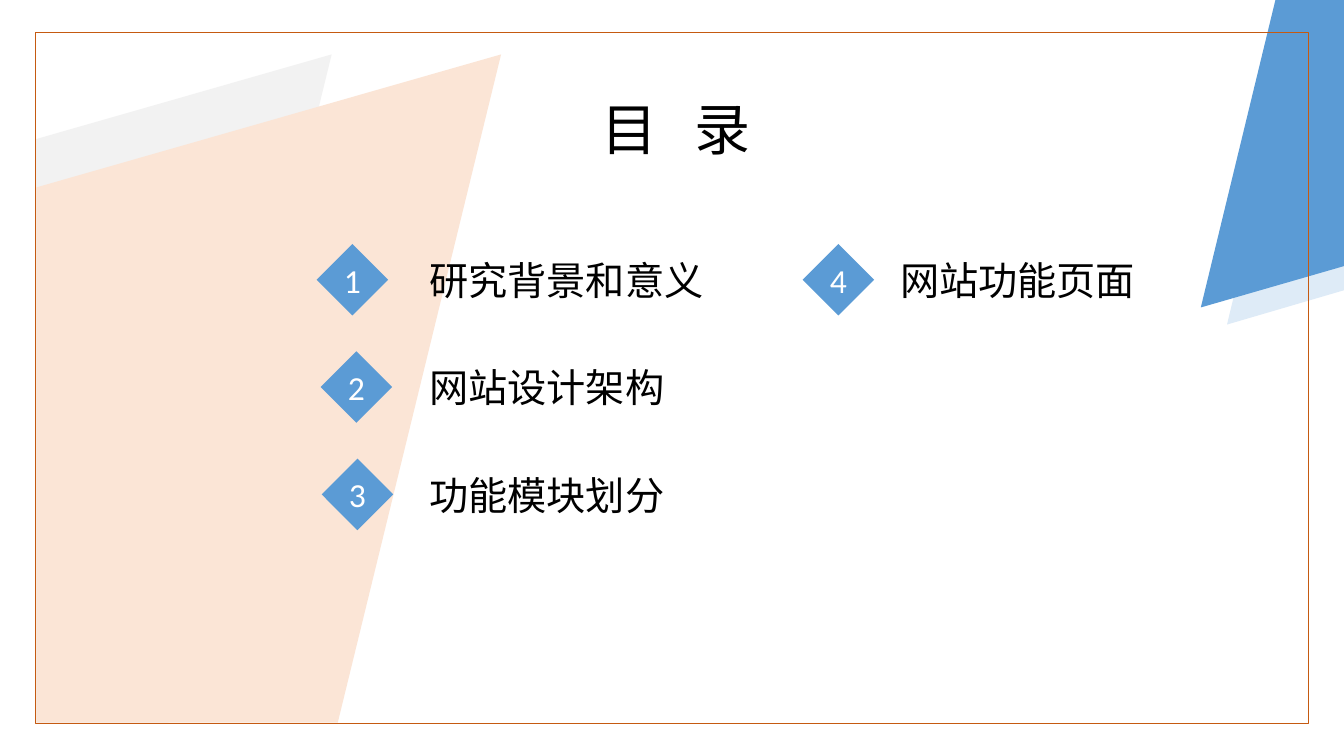
from pptx import Presentation, util as u
from pptx.dml.color import RGBColor
from pptx.enum import shapes, text
from pptx.oxml import ns
from lxml import etree

BLUE = "5B9BD5"
BLACK = "000000"
WHITE = "FFFFFF"
CHINESE = "Noto Sans CJK SC"


def colour(value):
    return RGBColor.from_string(value)


def paint(shape, value):
    shape.shadow.inherit = False
    shape.fill.solid()
    shape.fill.fore_color.rgb = colour(value)
    shape.line.fill.background()


def place(shape, left, top, width, height):
    shape.left, shape.top = u.Inches(left), u.Inches(top)
    shape.width, shape.height = u.Inches(width), u.Inches(height)


def write(shape, words, size, font, value, align, anchor, spacing=None):
    frame = shape.text_frame
    frame.text = words
    frame.word_wrap = True
    frame.auto_size = text.MSO_AUTO_SIZE.NONE
    frame.vertical_anchor = anchor
    para = frame.paragraphs[0]
    para.alignment = align
    para.line_spacing = 1.0
    para.font.size = u.Pt(size)
    para.font.name = font
    para.font.color.rgb = colour(value)
    defaults = para._p.pPr.find(ns.qn("a:defRPr"))
    etree.SubElement(defaults, ns.qn("a:ea")).set("typeface", font)
    if spacing:
        defaults.set("spc", str(spacing * 100))
    return para


def draw_polygon(page, points, value):
    corners = [(u.Inches(x), u.Inches(y)) for x, y in points]
    builder = page.shapes.build_freeform(*corners[0])
    builder.add_line_segments(corners[1:], close=True)
    paint(builder.convert_to_shape(), value)


def draw_backdrop(page, left, top, width, height):
    bottom = top + height - 0.01
    edge = left + 0.01
    draw_polygon(page, [(3.29, 0.54), (1.67, bottom), (edge, bottom), (edge, 1.38)], "F2F2F2")
    draw_polygon(page, [(4.97, 0.54), (3.35, bottom), (edge, bottom), (edge, 1.86)], "FBE5D6")
    draw_polygon(page, [(12.91, 0.15), (13.33, 0.15), (13.33, 2.88), (12.17, 3.22)], "DEEBF7")
    draw_polygon(page, [(12.65, 0), (13.33, 0), (13.33, 2.64), (11.91, 3.05)], BLUE)
    border = page.shapes.add_shape(
        shapes.MSO_SHAPE.RECTANGLE, *map(u.Inches, (left, top, width, height)))
    border.shadow.inherit = False
    border.fill.background()
    border.line.color.rgb = colour("C55A11")
    border.line.width = u.Pt(1)


def draw_title(page, left, top, width, height):
    title = page.shapes.title
    place(title, left, top, width, height)
    write(title, "目 录", 40, CHINESE, BLACK, text.PP_ALIGN.CENTER,
          text.MSO_ANCHOR.TOP, spacing=9)


def draw_entry(page, number, words, left, top, label_left, label_width):
    side = 0.71
    diamond = page.shapes.add_shape(
        shapes.MSO_SHAPE.DIAMOND, *map(u.Inches, (left, top, side, side)))
    paint(diamond, BLUE)
    frame = diamond.text_frame
    frame.margin_left = frame.margin_right = frame.margin_top = frame.margin_bottom = 0
    write(diamond, str(number), 24, "Calibri", WHITE,
          text.PP_ALIGN.CENTER, text.MSO_ANCHOR.MIDDLE)
    label = page.shapes.add_textbox(
        *map(u.Inches, (label_left, top + 0.07, label_width, 0.57)))
    para = write(label, words, 28, CHINESE, BLACK,
                 text.PP_ALIGN.LEFT, text.MSO_ANCHOR.MIDDLE)
    para.space_before = u.Pt(7.5)


def draw_contents(page, left, top):
    entries = [
        ("研究背景和意义", 0, 0, 1.02, 3.64),
        ("网站设计架构", 0.04, 1, 1.02, 3.09),
        ("功能模块划分", 0.05, 2, 1.02, 3.3),
        ("网站功能页面", 4.82, 0, 5.69, 3.3),
    ]
    for number, (words, indent, row, label_indent, width) in enumerate(entries, 1):
        draw_entry(page, number, words, left + indent, top + row * 1.065,
                   left + label_indent, width)


def main():
    deck = Presentation()
    deck.slide_width, deck.slide_height = u.Inches(13.33), u.Inches(7.5)
    page = deck.slides.add_slide(deck.slide_layouts[5])
    draw_backdrop(page, 0.35, 0.32, 12.63, 6.86)
    draw_title(page, 5.27, 0.89, 2.87, 0.77)
    draw_contents(page, 3.14, 2.42)
    deck.save("out.pptx")


if __name__ == "__main__":
    main()
